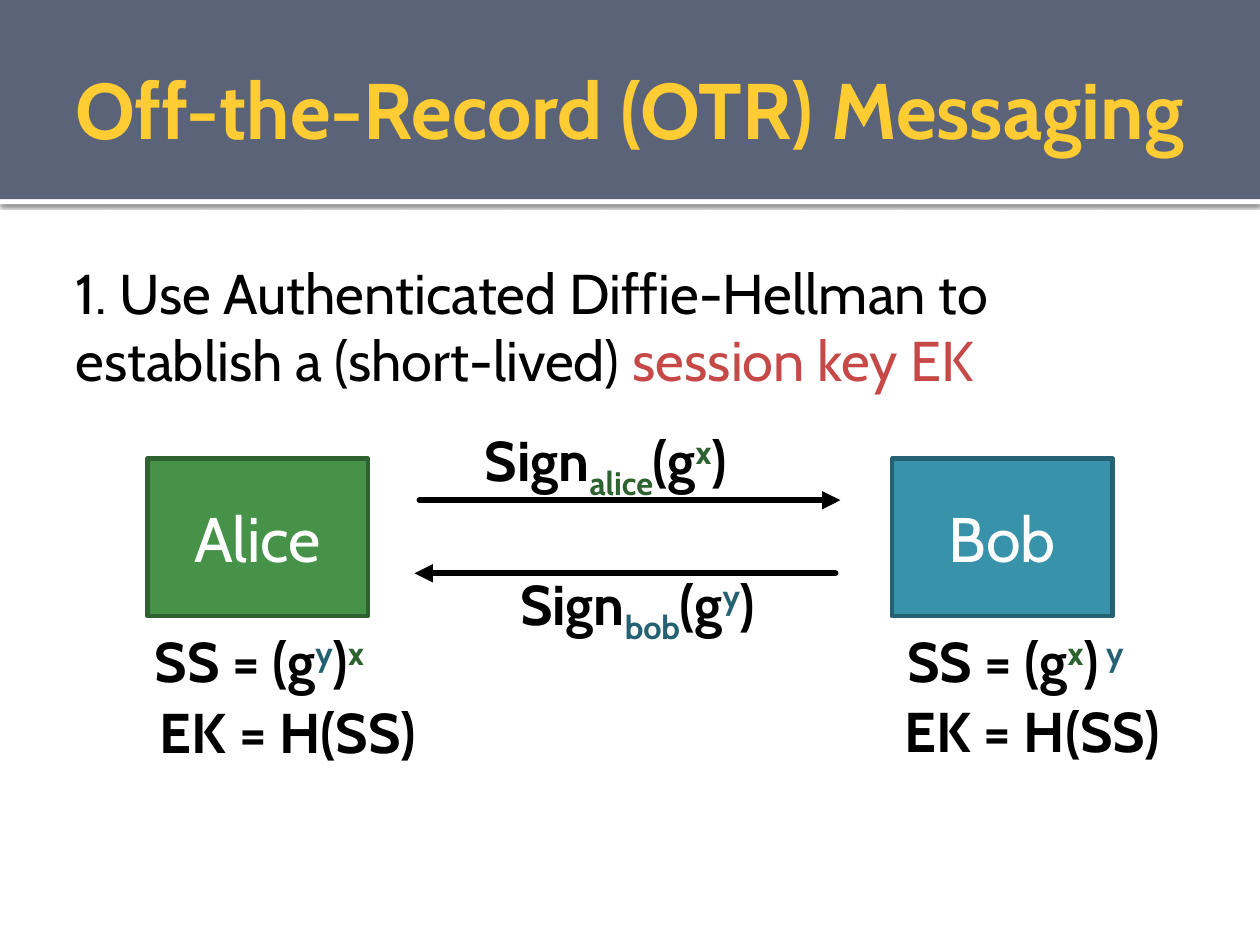
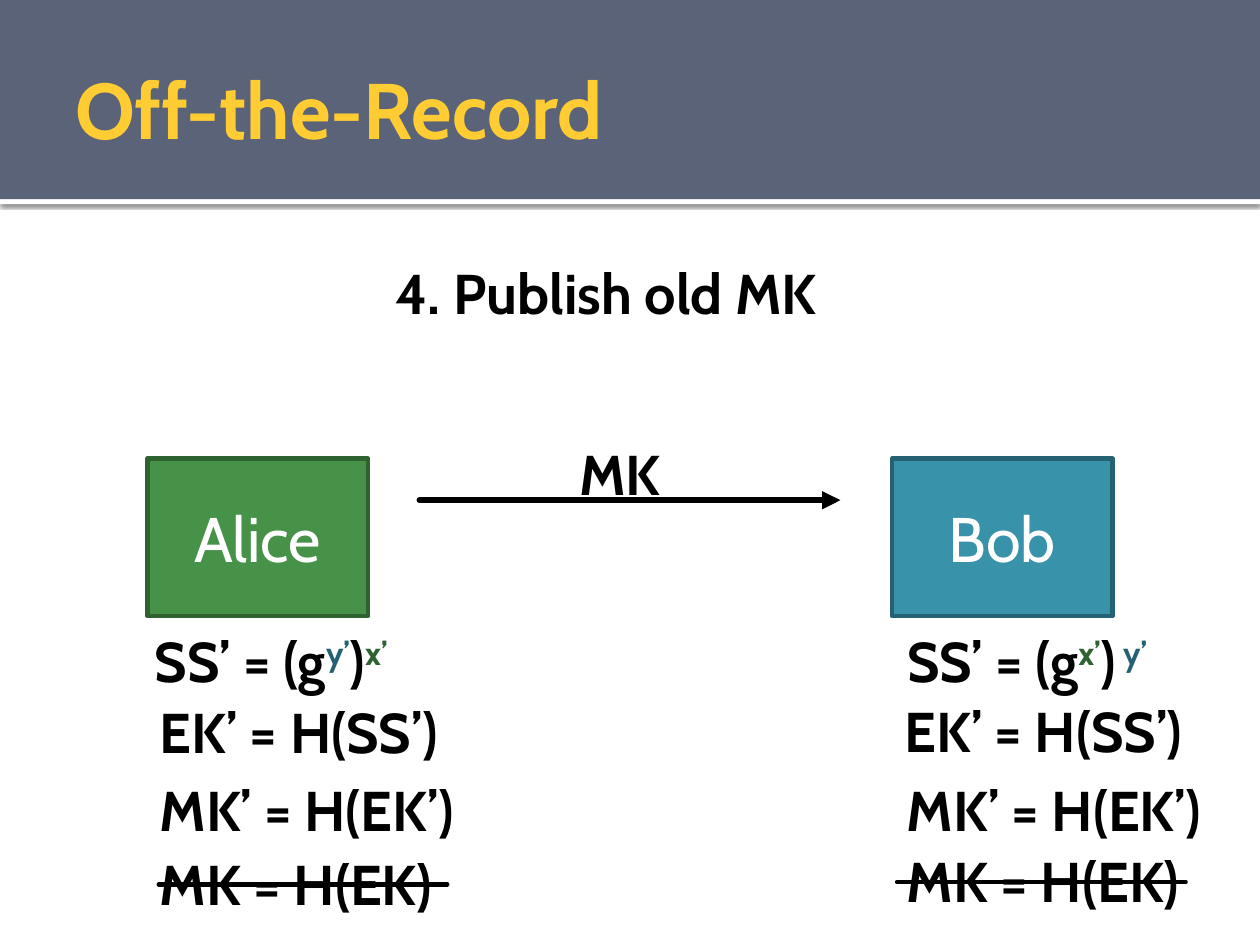
from lxml import etree
from pptx import Presentation
from pptx.dml.color import RGBColor
from pptx.enum import shapes, text
from pptx.oxml import ns
from pptx.util import Inches, Pt

BLACK = RGBColor(0x00, 0x00, 0x00)
WHITE = RGBColor(0xFF, 0xFF, 0xFF)
SLATE = RGBColor(0x5A, 0x63, 0x78)
GOLD = RGBColor(0xFF, 0xCC, 0x33)
RED = RGBColor(0xC6, 0x48, 0x47)
GREEN = RGBColor(0x47, 0x92, 0x49)
DARK_GREEN = RGBColor(0x2F, 0x62, 0x31)
TEAL = RGBColor(0x37, 0x92, 0xAA)
DARK_TEAL = RGBColor(0x24, 0x61, 0x72)

FONT = "Cabin"
SUPER, SUB = 30, -25
LINE_H = 0.64
PARTY_W, PARTY_H = 1.75, 1.25
PARTY_TOP = 3.64
ALICE_X, BOB_X = 1.17, 7.08


def add_xml(parent, tag, **attrs):
    attrs = {name: str(value) for name, value in attrs.items()}
    return etree.SubElement(parent, ns.qn(tag), **attrs)


def write(tf, runs, size, color=BLACK, bold=False, align=None):
    """Fill a frame with one paragraph; a run is text or (text, colour, baseline)."""
    tf.word_wrap = True
    p = tf.paragraphs[0]
    p.alignment = align
    p.font.name, p.font.size, p.font.bold = FONT, Pt(size), bold
    p.font.color.rgb = color
    for run in [runs] if isinstance(runs, str) else runs:
        r = p.add_run()
        if isinstance(run, str):
            r.text = run
            continue
        r.text, run_color, baseline = run
        r.font.color.rgb = run_color
        if baseline:
            r._r.get_or_add_rPr().set("baseline", str(baseline * 1000))


def add_text(s, x, y, w, h, runs, size=32, bold=True, color=BLACK):
    tf = s.shapes.add_textbox(Inches(x), Inches(y), Inches(w), Inches(h)).text_frame
    write(tf, runs, size, color, bold)
    return tf


def add_rect(s, x, y, w, h, fill, outline=None):
    sp = s.shapes.add_shape(shapes.MSO_SHAPE.RECTANGLE,
                            Inches(x), Inches(y), Inches(w), Inches(h))
    sp.shadow.inherit = False
    sp.fill.solid()
    sp.fill.fore_color.rgb = fill
    if outline is None:
        sp.line.fill.background()
    else:
        sp.line.color.rgb = outline
        sp.line.width = Pt(2.5)
    return sp


def add_line(s, x1, x2, y, width, arrow=False):
    line = s.shapes.add_connector(shapes.MSO_CONNECTOR.STRAIGHT,
                                  Inches(x1), Inches(y), Inches(x2), Inches(y))
    line.line.color.rgb = BLACK
    line.line.width = Pt(width)
    ln = line.line._get_or_add_ln()
    ln.set("cap", "rnd")
    if arrow:
        add_xml(ln, "a:tailEnd", type="triangle")
    add_xml(line._element.spPr, "a:effectLst")


def add_header(s, title):
    stripe = add_rect(s, 0, 1.57, 10, 0.05, WHITE)
    effects = stripe._element.spPr.find(ns.qn("a:effectLst"))
    shadow = add_xml(effects, "a:outerShdw", blurRad=Pt(2.5), dist=Pt(0.8),
                     dir=90 * 60000, algn="tl", rotWithShape=0)
    add_xml(add_xml(shadow, "a:srgbClr", val=BLACK), "a:alpha", val=60000)
    add_rect(s, 0, 0, 10, 1.58, SLATE)
    tf = add_text(s, 0.5, 0.17, 9, 1.37, title, 45, color=GOLD)
    tf.vertical_anchor = text.MSO_ANCHOR.MIDDLE
    tf.margin_right = Inches(0.05)


def add_party(s, x, name, fill, outline, facts):
    """Draw a named box with facts (dx, dy from its bottom, width, runs) below."""
    sp = add_rect(s, x, PARTY_TOP, PARTY_W, PARTY_H, fill, outline)
    sp.text_frame.vertical_anchor = text.MSO_ANCHOR.MIDDLE
    write(sp.text_frame, name, 36, WHITE, align=text.PP_ALIGN.CENTER)
    for dx, dy, w, runs in facts:
        add_text(s, x + dx, PARTY_TOP + PARTY_H + dy, w, LINE_H, runs)


def add_parties(s, prime="", alice_keys=(), bob_keys=()):
    """Draw both parties with shared secret, session key and any further keys."""
    x, y = "x" + prime, "y" + prime
    secret = f"SS{prime} = (g"
    session = f"EK{prime} = H(SS{prime})"
    add_party(s, BOB_X, "Bob", TEAL, DARK_TEAL, [
        (0.02, 0.03, 2.42, [secret, (x, DARK_GREEN, SUPER), ")",
                            (" " + y, DARK_TEAL, SUPER)]),
        (0, 0.59, 2.75, session), *bob_keys])
    add_party(s, ALICE_X, "Alice", GREEN, DARK_GREEN, [
        (-0.04, 0.03, 2.42, [secret, (y, DARK_TEAL, SUPER), ")",
                             (x, DARK_GREEN, SUPER)]),
        (0, 0.6, 2.68, session), *alice_keys])


def signed(signer, exponent, color):
    return ["Sign", (signer, color, SUB), "(g", (exponent, color, SUPER), ")"]


def add_message_to_bob(s, x, y, w, runs):
    add_text(s, x, y, w, LINE_H, runs)
    add_line(s, 3.33, 6.67, 3.97, 3.5, arrow=True)


def key_exchange_slide(s):
    add_header(s, "Off-the-Record (OTR) Messaging")
    add_text(s, 0.5, 2, 9, 1.18,
             ["1. Use Authenticated Diffie-Hellman to establish a (short-lived) ",
              ("session key EK", RED, 0)], bold=False)
    add_parties(s)
    add_message_to_bob(s, 3.75, 3.33, 2.42, signed("alice", "x", DARK_GREEN))
    add_text(s, 4.03, 4.47, 2.59, LINE_H, signed("bob", "y", DARK_TEAL))
    add_line(s, 6.63, 3.29, 4.55, 3.5, arrow=True)


def publish_slide(s):
    add_header(s, "Off-the-Record")
    add_text(s, 3.04, 2, 5.04, LINE_H, "4. Publish old MK")
    new_key, old_key = "MK’ = H(EK’)", "MK = H(EK)"
    add_parties(s, "’",
                alice_keys=[(0, 1.22, 2.83, new_key), (0, 1.8, 2.83, old_key)],
                bob_keys=[(0.02, 1.22, 2.9, new_key), (0.02, 1.78, 2.9, old_key)])
    add_message_to_bob(s, 4.5, 3.44, 4.03, "MK")
    for x, y in [(1.26, 7.02), (7.12, 7)]:
        add_line(s, x, x + 2.29, y, 2.5)


def main():
    prs = Presentation()
    prs.slide_width, prs.slide_height = Inches(10), Inches(7.5)
    for build in (key_exchange_slide, publish_slide):
        build(prs.slides.add_slide(prs.slide_layouts[6]))
    prs.save("out.pptx")


if __name__ == "__main__":
    main()
